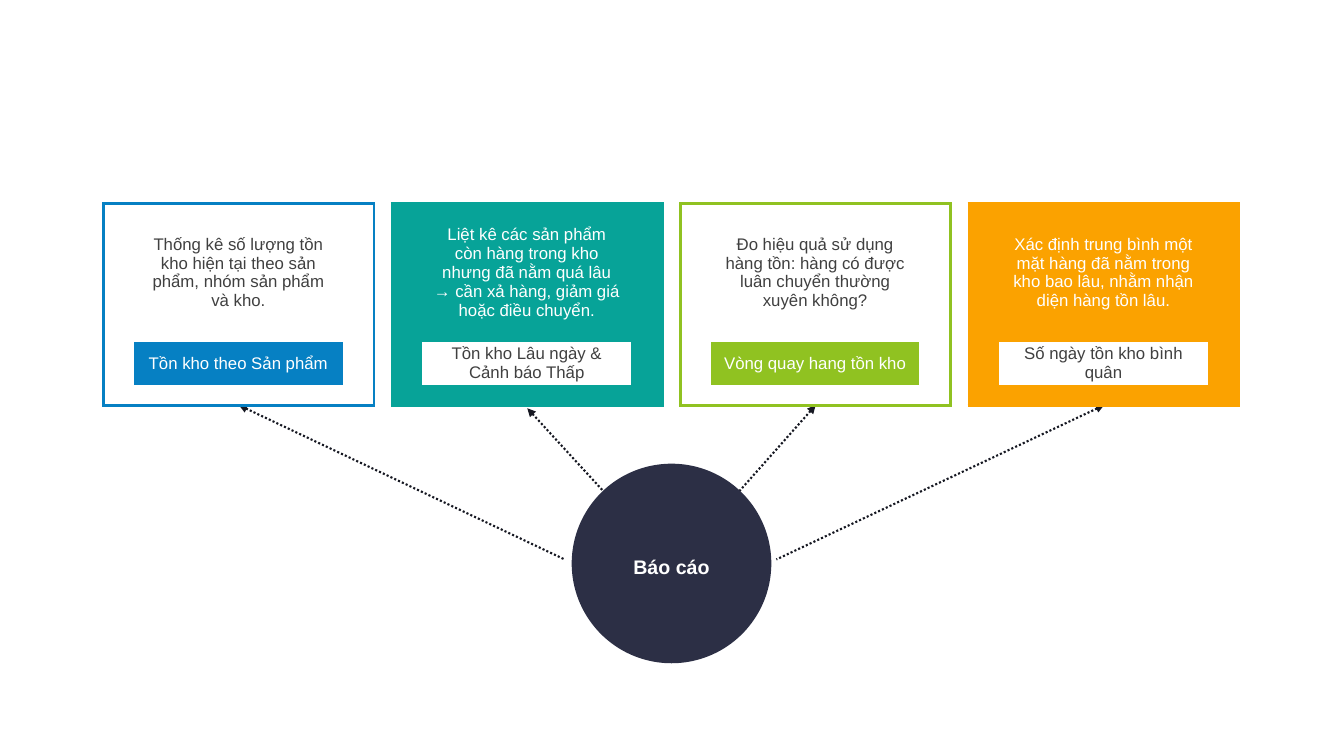
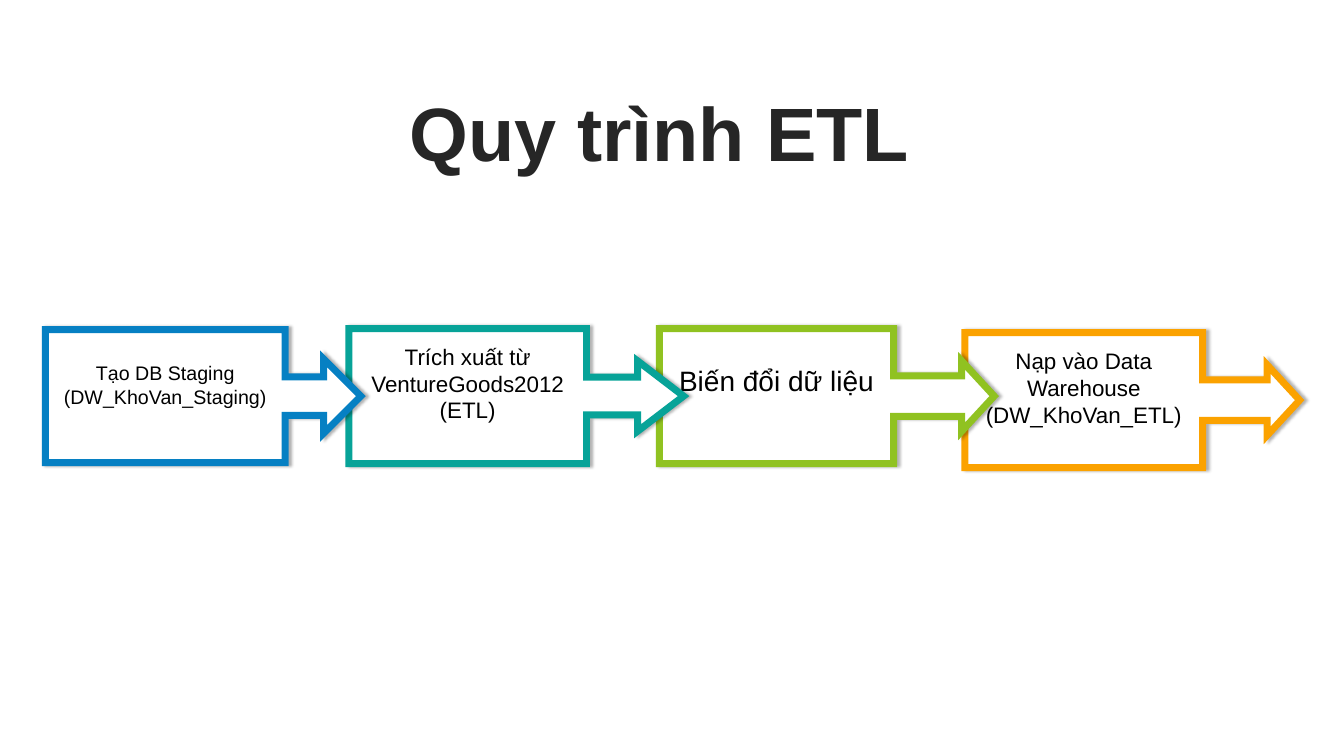
import lxml.etree
import pptx
import pptx.dml.color
import pptx.enum.dml
import pptx.enum.shapes
import pptx.enum.text
import pptx.oxml.ns
import pptx.util

Inches, Pt, qn = pptx.util.Inches, pptx.util.Pt, pptx.oxml.ns.qn
SHAPE = pptx.enum.shapes.MSO_SHAPE
MIDDLE = pptx.enum.text.MSO_ANCHOR.MIDDLE
CENTER = pptx.enum.text.PP_ALIGN.CENTER

FONT = "Arial"
BLUE, TEAL, GREEN, ORANGE = "0680C3", "07A398", "90C221", "FBA200"
WHITE, BLACK, GREY, TITLE_GREY = "FFFFFF", "000000", "404040", "262626"
NAVY, ARROW = "2C2F45", "161822"

# accent, filled, description, label, arrow tip y, arrow start
REPORTS = [
    (BLUE, False, "Thống kê số lượng tồn kho hiện tại theo sản phẩm, nhóm sản phẩm và kho.",
     "Tồn kho theo Sản phẩm", 4.02, (5.6, 5.55)),
    (TEAL, True, "Liệt kê các sản phẩm còn hàng trong kho nhưng đã nằm quá lâu → cần xả hàng, "
     "giảm giá hoặc điều chuyển.", "Tồn kho Lâu ngày & Cảnh báo Thấp", 4.05, (6.67, 5.62)),
    (GREEN, False, "Đo hiệu quả sử dụng hàng tồn: hàng có được luân chuyển thường xuyên không?",
     "Vòng quay hang tồn kho", 4.02, (6.67, 5.62)),
    (ORANGE, True, "Xác định trung bình một mặt hàng đã nằm trong kho bao lâu, nhằm nhận diện "
     "hàng tồn lâu.", "Số ngày tồn kho bình quân", 4.02, (7.7, 5.55)),
]
CARD_COLS = [0.3, 2.07, 0.31]
CARD_ROWS = [0.2, 0.97, 0.2, 0.43, 0.2]
CARD_LEFT, CARD_TOP, CARD_PITCH = 1.03, 2.02, 2.86
TEXT_ROW, LABEL_ROW = 1, 3

# accent, text, size, box, adjustments
STEPS = [
    (BLUE, "Tạo DB Staging (DW_KhoVan_Staging)", 14,
     (0.45, 3.27, 3.13, 1.32), (0.29, 0.28, 0.28, 0.76)),
    (TEAL, "Trích xuất từ VentureGoods2012 (ETL)", 16,
     (3.46, 3.26, 3.32, 1.34), (0.28, 0.26, 0.34, 0.71)),
    (GREEN, "Biến đổi dữ liệu", 20,
     (6.54, 3.26, 3.32, 1.34), (0.3, 0.26, 0.24, 0.7)),
    (ORANGE, "Nạp vào Data Warehouse (DW_KhoVan_ETL)", 16,
     (9.57, 3.3, 3.32, 1.34), (0.3, 0.26, 0.24, 0.71)),
]


def rgb(value):
    return pptx.dml.color.RGBColor.from_string(value)


def inches(values):
    return [Inches(v) for v in values]


def add_xml(parent, tag, **attrs):
    return lxml.etree.SubElement(parent, qn(tag), attrs)


def fill(target, color):
    target.fill.solid()
    target.fill.fore_color.rgb = rgb(color)


def write(tf, text, size, color, bold=False):
    tf.word_wrap = True
    p = tf.paragraphs[0]
    p.alignment = CENTER
    r = p.add_run()
    r.text = text
    for name, value in {"name": FONT, "size": Pt(size), "bold": bold}.items():
        setattr(r.font, name, value)
    r.font.color.rgb = rgb(color)
    return p


def set_borders(cell, sides, color):
    """Draw the named sides of a cell and clear the others."""
    tcPr = cell._tc.get_or_add_tcPr()
    for i, side in enumerate("LRTB"):
        ln = add_xml(tcPr, f"a:ln{side}", w=str(Pt(2.25) if side in sides else 0))
        if side in sides:
            add_xml(add_xml(ln, "a:solidFill"), "a:srgbClr", val=color)
        else:
            add_xml(ln, "a:noFill")
        tcPr.insert(i, ln)


def add_arrow(slide, tip, start):
    c = slide.shapes.add_connector(pptx.enum.shapes.MSO_CONNECTOR.STRAIGHT,
                                   *inches(tip + start))
    c.line.color.rgb = rgb(ARROW)
    c.line.width = Pt(1.5)
    c.line.dash_style = pptx.enum.dml.MSO_LINE.ROUND_DOT
    spPr = c._element.spPr
    add_xml(spPr.find(qn("a:ln")), "a:headEnd", type="triangle")
    add_xml(spPr, "a:effectLst")


def add_card(slide, left, accent, filled, description, label):
    back, front = (accent, WHITE) if filled else (WHITE, accent)
    text_color, label_color = (WHITE, GREY) if filled else (GREY, WHITE)
    texts = {(TEXT_ROW, 1): (description, text_color), (LABEL_ROW, 1): (label, label_color)}
    table = slide.shapes.add_table(
        len(CARD_ROWS), len(CARD_COLS),
        *inches((left, CARD_TOP, sum(CARD_COLS), sum(CARD_ROWS)))).table
    table.first_row = table.horz_banding = False
    for column, width in zip(table.columns, CARD_COLS):
        column.width = Inches(width)
    for row, height in zip(table.rows, CARD_ROWS):
        row.height = Inches(height)
    last_row, last_col = len(CARD_ROWS) - 1, len(CARD_COLS) - 1
    for y in range(last_row + 1):
        for x in range(last_col + 1):
            cell = table.cell(y, x)
            cell.margin_top = cell.margin_bottom = 0
            cell.vertical_anchor = MIDDLE
            fill(cell, front if (y, x) == (LABEL_ROW, 1) else back)
            edges = {"L": x == 0, "R": x == last_col, "T": y == 0, "B": y == last_row}
            set_borders(cell, [side for side, outer in edges.items() if outer], accent)
            if (y, x) in texts:
                text, color = texts[y, x]
                write(cell.text_frame, text, 12, color)
            else:
                add_xml(cell.text_frame.paragraphs[0]._p, "a:endParaRPr", sz="600")


def add_step(slide, accent, text, size, box, adjustments):
    s = slide.shapes.add_shape(SHAPE.RIGHT_ARROW_CALLOUT, *inches(box))
    for i, value in enumerate(adjustments):
        s.adjustments[i] = value
    fill(s, WHITE)
    s.line.color.rgb = rgb(accent)
    s.line.width = Pt(5)
    s.shadow.inherit = False
    spPr = s._element.spPr
    add_xml(spPr.find(qn("a:ln")), "a:miter", lim="800000")
    shadow = add_xml(spPr.find(qn("a:effectLst")), "a:outerShdw", blurRad=str(Pt(2)),
                     dist=str(Pt(2)), dir="0", algn="l", rotWithShape="0")
    add_xml(add_xml(shadow, "a:srgbClr", val=BLACK), "a:alpha", val="30000")
    tf = s.text_frame
    tf.vertical_anchor = MIDDLE
    # One line of space below lifts the text above the middle.
    tf.margin_bottom = Inches(0.05) + Pt(size * 1.15)
    write(tf, text, size, BLACK)


def build_reports(prs):
    slide = prs.slides.add_slide(prs.slide_layouts[6])
    lefts = [CARD_LEFT + i * CARD_PITCH for i in range(len(REPORTS))]
    for left, (*_, tip_y, start) in zip(lefts, REPORTS):
        add_arrow(slide, (left + sum(CARD_COLS) / 2, tip_y), start)
    hub = slide.shapes.add_shape(SHAPE.OVAL, *inches((5.67, 4.6, 1.98, 1.98)))
    fill(hub, NAVY)
    hub.line.fill.background()
    hub.shadow.inherit = False
    hub.text_frame.vertical_anchor = MIDDLE
    hub.text_frame.margin_top = Inches(0.12)
    write(hub.text_frame, "Báo cáo", 14, WHITE, bold=True)
    for left, (accent, filled, description, label, *_) in zip(lefts, REPORTS):
        add_card(slide, left, accent, filled, description, label)


def build_process(prs):
    slide = prs.slides.add_slide(prs.slide_layouts[5])
    title = slide.shapes.title
    title.left, title.top, title.width, title.height = inches((0.21, 0.96, 12.66, 0.79))
    tf = title.text_frame
    tf.auto_size = pptx.enum.text.MSO_AUTO_SIZE.NONE
    tf.vertical_anchor = MIDDLE
    write(tf, "Quy trình ETL", 54, TITLE_GREY, bold=True).line_spacing = 0.9
    for step in reversed(STEPS):
        add_step(slide, *step)


def main():
    prs = pptx.Presentation()
    prs.slide_width, prs.slide_height = inches((13.33, 7.5))
    build_reports(prs)
    build_process(prs)
    prs.save("out.pptx")


if __name__ == "__main__":
    main()
